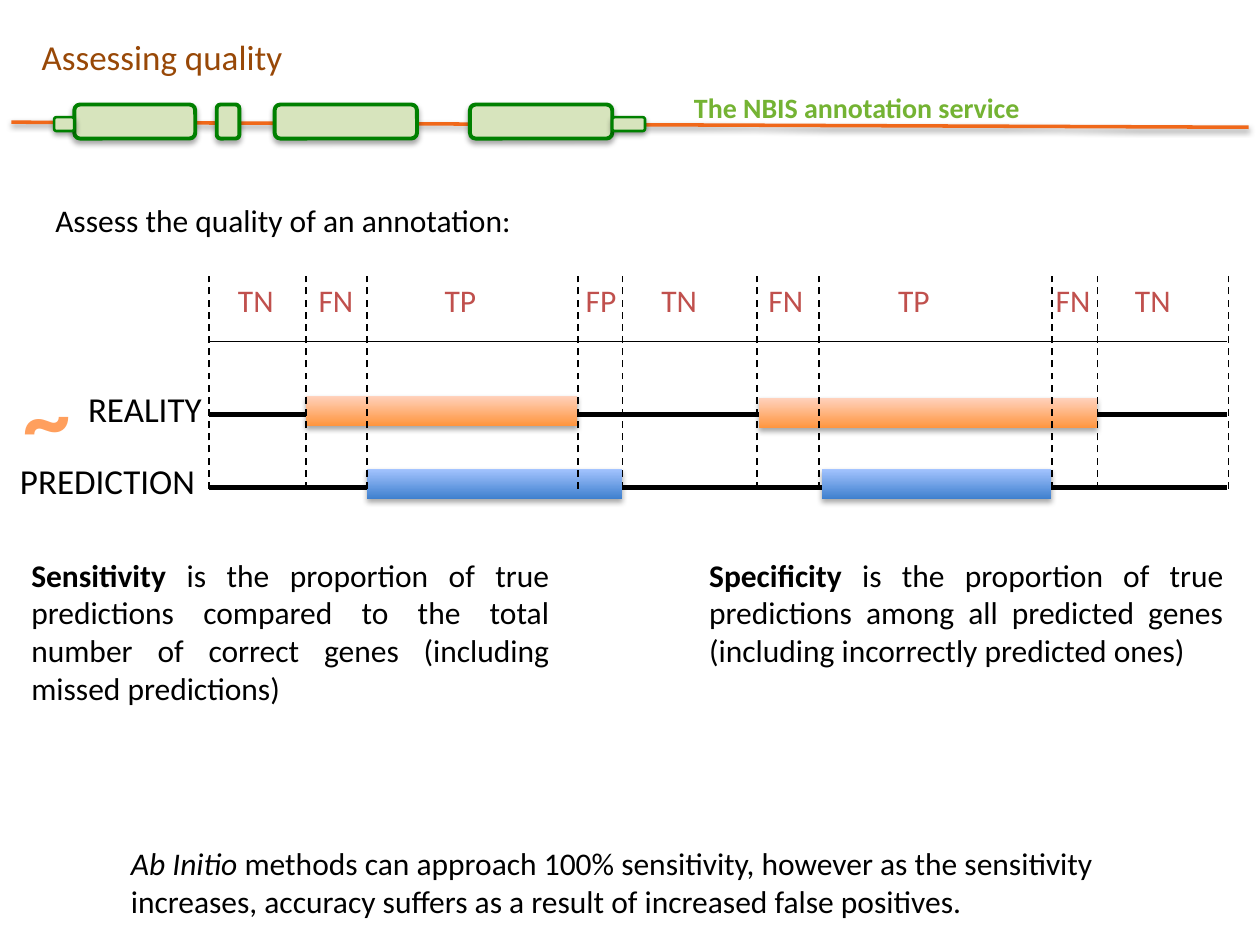
from lxml.etree import SubElement
from pptx import Presentation
from pptx.dml.color import RGBColor
from pptx.enum.dml import MSO_LINE as Dash
from pptx.enum.shapes import MSO_CONNECTOR as Conn, MSO_SHAPE as Shape
from pptx.enum.text import MSO_ANCHOR as Anchor, MSO_AUTO_SIZE as Auto, PP_ALIGN as Align
from pptx.oxml.ns import qn
from pptx.util import Inches, Pt

BLACK, RED, GREEN = "000000", "C0504D", "008000"
ORANGE, BLUE = ("FF953E", "FFD2BD"), ("3F80CE", "A4C4FF")
EXONS = [(0.59, 0.96), (1.72, 0.18), (2.18, 1.13), (3.73, 1.13)]
ENDS = [(4.86, 0.26), (0.43, 0.16)]
GENES = [(2.43, 3.14, 2.15, ORANGE), (6.02, 3.16, 2.69, ORANGE),
         (2.91, 3.72, 2.03, BLUE), (6.52, 3.72, 1.82, BLUE)]
CUTS = [1.66, 2.43, 2.91, 4.59, 4.94, 6.01, 6.5, 8.35, 8.71, 9.75]
MARKS = [("TN", 1.79), ("FN", 2.43), ("TP", 3.43), ("FP", 4.55), ("TN", 5.15),
         ("FN", 6), ("TP", 7.03), ("FN", 8.28), ("TN", 8.91)]


def paint(text):
    return RGBColor.from_string(text)


def place(*nums):
    return [Inches(n) for n in nums]


def shade(item, dist=0, alpha=35):
    glow = SubElement(item._element.spPr, qn("a:effectLst"))
    if dist:
        drop = SubElement(glow, qn("a:outerShdw"), blurRad="40000", dist=str(Pt(dist)),
                          dir="5400000", rotWithShape="0")
        tint = SubElement(drop, qn("a:srgbClr"), val=BLACK)
        SubElement(tint, qn("a:alpha"), val=str(alpha * 1000))


def add_line(slide, ends, width, color=BLACK, dash=False, drop=0):
    line = slide.shapes.add_connector(Conn.STRAIGHT, *place(*ends))
    line.line.color.rgb = paint(color)
    line.line.width = Pt(width)
    if dash:
        line.line.dash_style = Dash.DASH
    shade(line, drop, 38)


def add_exon(slide, box, width):
    exon = slide.shapes.add_shape(Shape.ROUNDED_RECTANGLE, *place(*box))
    exon.fill.solid()
    exon.fill.fore_color.rgb = paint("D7E4BD")
    exon.line.color.rgb = paint(GREEN)
    exon.line.width = Pt(width)
    shade(exon, 1.8)


def add_gene(slide, box, tones):
    gene = slide.shapes.add_shape(Shape.RECTANGLE, *place(*box))
    gene.fill.gradient()
    gene.fill.gradient_angle = 90
    for stop, tone, spot in zip(gene.fill.gradient_stops, tones, (0, 1)):
        stop.color.rgb = paint(tone)
        stop.position = spot
    gene.line.fill.background()
    shade(gene, 1.8)


def style(para, size, color, bold=None, align=Align.LEFT):
    para.alignment = align
    font = para.font
    font.name, font.size, font.bold = "Calibri", Pt(size), bold
    font.color.rgb = paint(color)


def add_text(slide, box, text, size=18, color=BLACK, bold=None, align=Align.LEFT):
    frame = slide.shapes.add_textbox(*place(*box)).text_frame
    frame.word_wrap = True
    para = frame.paragraphs[0]
    style(para, size, color, bold, align)
    para.add_run().text = text
    return para


def add_lead(slide, box, lead, rest, align=Align.LEFT, slant=False):
    para = add_text(slide, box, lead, align=align)
    font = para.runs[0].font
    font.italic, font.bold = slant, not slant
    para.add_run().text = rest


def add_title(slide, text):
    title = slide.shapes.title
    title.left, title.top, title.width, title.height = place(0.23, 0.23, 2.38, 0.44)
    frame = title.text_frame
    frame.text = text
    frame.auto_size = Auto.NONE
    frame.vertical_anchor = Anchor.TOP
    style(frame.paragraphs[0], 20, "984807")


def add_header(slide):
    add_line(slide, (0.09, 0.97, 9.91, 1.01), 2, "F0681A", drop=1.6)
    for left, width in EXONS:
        add_exon(slide, (left, 0.83, width, 0.27), 2.25)
    for left, width in ENDS:
        add_exon(slide, (left, 0.93, width, 0.11), 1.5)
    add_text(slide, (5.41, 0.67, 2.9, 0.37), "The NBIS annotation service", 16, "74B333", True)


def add_tracks(slide):
    for y, width in [(2.71, 1), (3.29, 3), (3.87, 3)]:
        add_line(slide, (1.66, y, 9.74, y), width)
    for left, top, width, tones in GENES:
        add_gene(slide, (left, top, width, 0.24), tones)
    for x in CUTS:
        add_line(slide, (x, 3.88, x, 2.19), 1, dash=True)
    for mark, left in MARKS:
        add_text(slide, (left, 2.18, 0.64, 0.5), mark, color=RED)
    add_text(slide, (0.6, 3.03, 1.39, 0.43), "REALITY", 20)
    add_text(slide, (0.06, 3.6, 1.85, 0.43), "PREDICTION", 20)
    add_text(slide, (0.06, 2.79, 0.62, 1.01), "~", 54, "FF9F5D", True, Align.CENTER)


def main():
    deck = Presentation()
    deck.slide_width, deck.slide_height = place(10, 7.5)
    slide = deck.slides.add_slide(deck.slide_layouts[5])
    add_title(slide, "Assessing quality")
    add_header(slide)
    add_text(slide, (0.34, 1.55, 3.95, 0.4), "Assess the quality of an annotation:")
    add_tracks(slide)
    add_lead(slide, (0.15, 4.36, 4.31, 1.31), "Sensitivity ",
             "is the proportion of true predictions compared to the total number of "
             "correct genes (including missed predictions)", Align.JUSTIFY)
    add_lead(slide, (5.53, 4.36, 4.28, 1.01), "Specificity",
             " is the proportion of true predictions among all predicted genes "
             "(including incorrectly predicted ones)", Align.JUSTIFY)
    add_lead(slide, (0.94, 6.65, 8.12, 0.71), "Ab Initio ",
             "methods can approach 100% sensitivity, however as the sensitivity increases, "
             "accuracy suffers as a result of increased false positives.", slant=True)
    deck.save("out.pptx")


if __name__ == "__main__":
    main()
